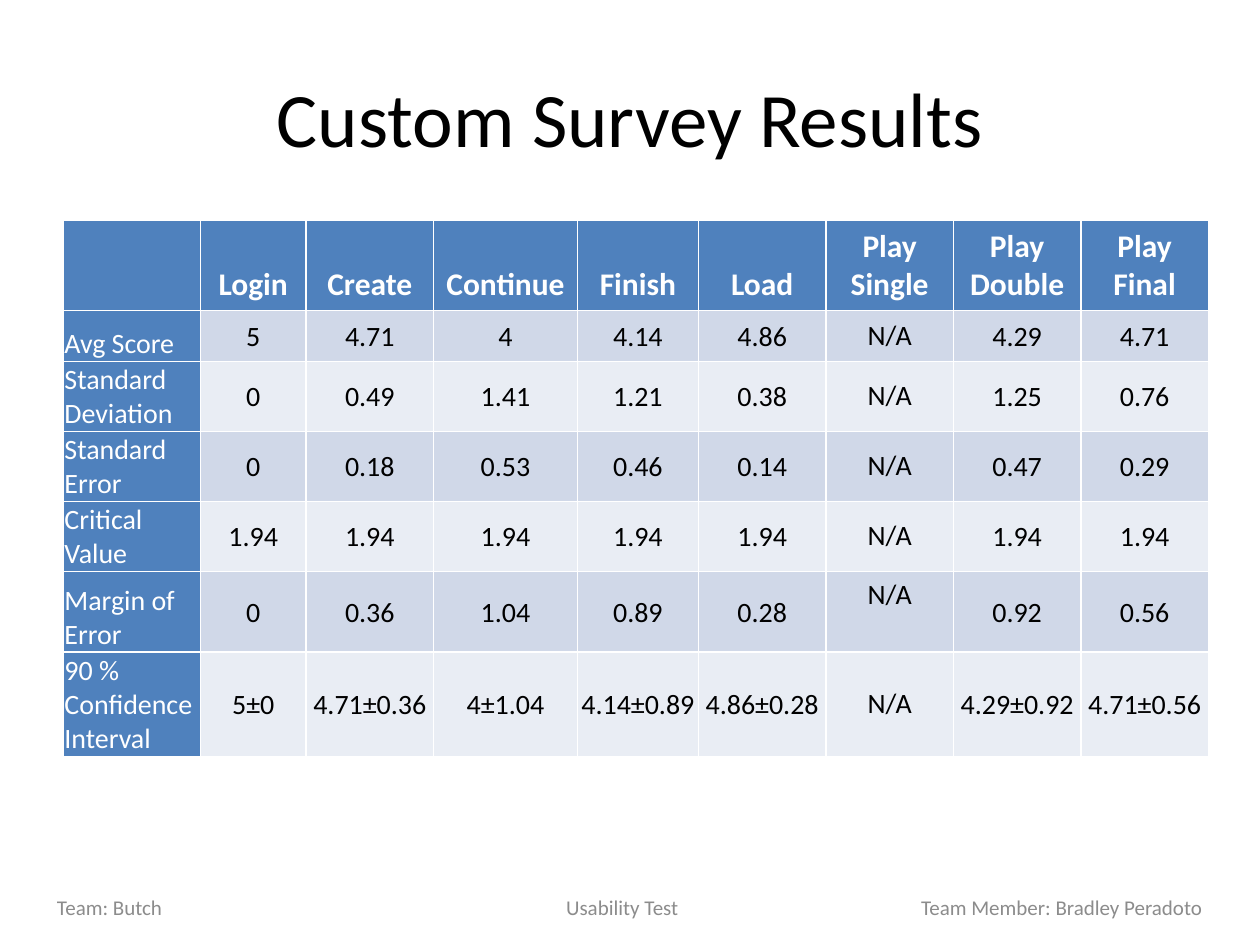
import dataclasses

import lxml.etree
import pptx
import pptx.dml.color
import pptx.enum.text
import pptx.oxml.ns
import pptx.util

Cm = pptx.util.Cm
Align = pptx.enum.text.PP_ALIGN
Anchor = pptx.enum.text.MSO_ANCHOR


@dataclasses.dataclass(frozen=True)
class Theme:
    font: str = "Calibri"
    title_size: int = 44
    header_size: int = 18
    body_size: int = 16
    footer_size: int = 12
    dark: str = "000000"
    light: str = "FFFFFF"
    muted: str = "8C8C8C"
    accent: str = "4F81BD"
    bands: tuple = ("D0D8E8", "E9EDF4")


@dataclasses.dataclass(frozen=True)
class Box:
    """A region of the page, in centimetres."""
    left: float
    top: float
    width: float
    height: float

    def lengths(self):
        return [Cm(value) for value in dataclasses.astuple(self)]


THEME = Theme()
MISSING = "N/A"

HEADERS = ["", "Login", "Create", "Continue", "Finish", "Load",
           "Play Single", "Play Double", "Play Final"]
COLUMN_WIDTHS = [2.77, 2.13, 2.57, 2.9, 2.44] + [2.57] * 4
HEADER_HEIGHT = 1.79

# Row label, row height in centimetres, values
RESULTS = [
    ("Avg Score", 1.03,
     ["5", "4.71", "4", "4.14", "4.86", MISSING, "4.29", "4.71"]),
    ("Standard\nDeviation", 1.41,
     ["0", "0.49", "1.41", "1.21", "0.38", MISSING, "1.25", "0.76"]),
    ("Standard\nError", 1.41,
     ["0", "0.18", "0.53", "0.46", "0.14", MISSING, "0.47", "0.29"]),
    ("Critical Value", 1.41, ["1.94"] * 5 + [MISSING] + ["1.94"] * 2),
    ("Margin of Error", 1.63,
     ["0", "0.36", "1.04", "0.89", "0.28", MISSING, "0.92", "0.56"]),
    ("90 % Confidence Interval", 2.08,
     ["5±0", "4.71±0.36", "4±1.04", "4.14±0.89", "4.86±0.28", MISSING,
      "4.29±0.92", "4.71±0.56"]),
]


def style_text(frame, size, color, align, bold=False):
    for para in frame.paragraphs:
        para.alignment = align
        para.font.name = THEME.font
        para.font.size = pptx.util.Pt(size)
        para.font.bold = bold
        para.font.color.rgb = pptx.dml.color.RGBColor.from_string(color)


def fill_cell(cell, text, fill, anchor, size, color, align, bold=False):
    cell.text_frame.text = text
    cell.vertical_anchor = anchor
    cell.fill.solid()
    cell.fill.fore_color.rgb = pptx.dml.color.RGBColor.from_string(fill)
    style_text(cell.text_frame, size, color, align, bold)


def tighten(cell):
    cell.margin_left = cell.margin_right = cell.margin_top = Cm(0.03)
    cell.margin_bottom = 0


def add_title(page, box, text):
    title = page.shapes.title
    title.left, title.top, title.width, title.height = box.lengths()
    title.text_frame.text = text
    title.text_frame.vertical_anchor = Anchor.MIDDLE
    style_text(title.text_frame, THEME.title_size, THEME.dark, Align.CENTER)


def add_results_table(page, box):
    # The default table style supplies the white rules between cells
    table = page.shapes.add_table(
        len(RESULTS) + 1, len(HEADERS), *box.lengths()).table
    table.first_col = True
    for column, width in zip(table.columns, COLUMN_WIDTHS):
        column.width = Cm(width)
    heights = [HEADER_HEIGHT] + [height for _, height, _ in RESULTS]
    for row, height in zip(table.rows, heights):
        row.height = Cm(height)

    # Header row
    for column, text in enumerate(HEADERS):
        fill_cell(table.cell(0, column), text, THEME.accent, Anchor.BOTTOM,
                  THEME.header_size, THEME.light, Align.CENTER, bold=True)

    # Label column and banded values
    for row, (label, _, values) in enumerate(RESULTS, start=1):
        label_cell = table.cell(row, 0)
        fill_cell(label_cell, label, THEME.accent, Anchor.BOTTOM,
                  THEME.body_size, THEME.light, Align.LEFT)
        tighten(label_cell)
        band = THEME.bands[(row - 1) % 2]
        for column, value in enumerate(values, start=1):
            cell = table.cell(row, column)
            raised = value == MISSING and label == "Margin of Error"
            fill_cell(cell, value, band,
                      Anchor.TOP if raised else Anchor.MIDDLE,
                      THEME.body_size, THEME.dark, Align.CENTER)
            if value != MISSING:
                tighten(cell)


def add_footer(page, box, parts):
    frame = page.shapes.add_textbox(*box.lengths()).text_frame
    frame.word_wrap = True
    frame.vertical_anchor = Anchor.MIDDLE
    frame.margin_left = frame.margin_right = Cm(0.41)
    frame.text = "\t".join(parts)
    style_text(frame, THEME.footer_size, THEME.muted, Align.LEFT)

    # Centre and right tab stops; they precede the default run properties
    qn = pptx.oxml.ns.qn
    stops = lxml.etree.Element(qn("a:tabLst"))
    inner_width = box.width - 0.82
    for position, kind in ((inner_width / 2 - 0.16, "ctr"),
                           (inner_width - 0.02, "r")):
        lxml.etree.SubElement(stops, qn("a:tab"),
                              pos=str(int(Cm(position))), algn=kind)
    frame.paragraphs[0].font  # ensures the paragraph properties exist
    frame.paragraphs[0]._p.pPr.insert(0, stops)


def main():
    deck = pptx.Presentation()
    deck.slide_width, deck.slide_height = Cm(25.4), Cm(19.05)
    page = deck.slides.add_slide(deck.slide_layouts.get_by_name("Title Only"))
    add_title(page, Box(1.27, 0.76, 22.86, 3.18), "Custom Survey Results")
    add_results_table(page, Box(1.27, 4.45, 23.06, 10.76))
    add_footer(page, Box(0.74, 17.91, 23.93, 0.76),
               ["Team: Butch", "Usability Test",
                "Team Member: Bradley Peradoto"])
    deck.save("out.pptx")


if __name__ == "__main__":
    main()
